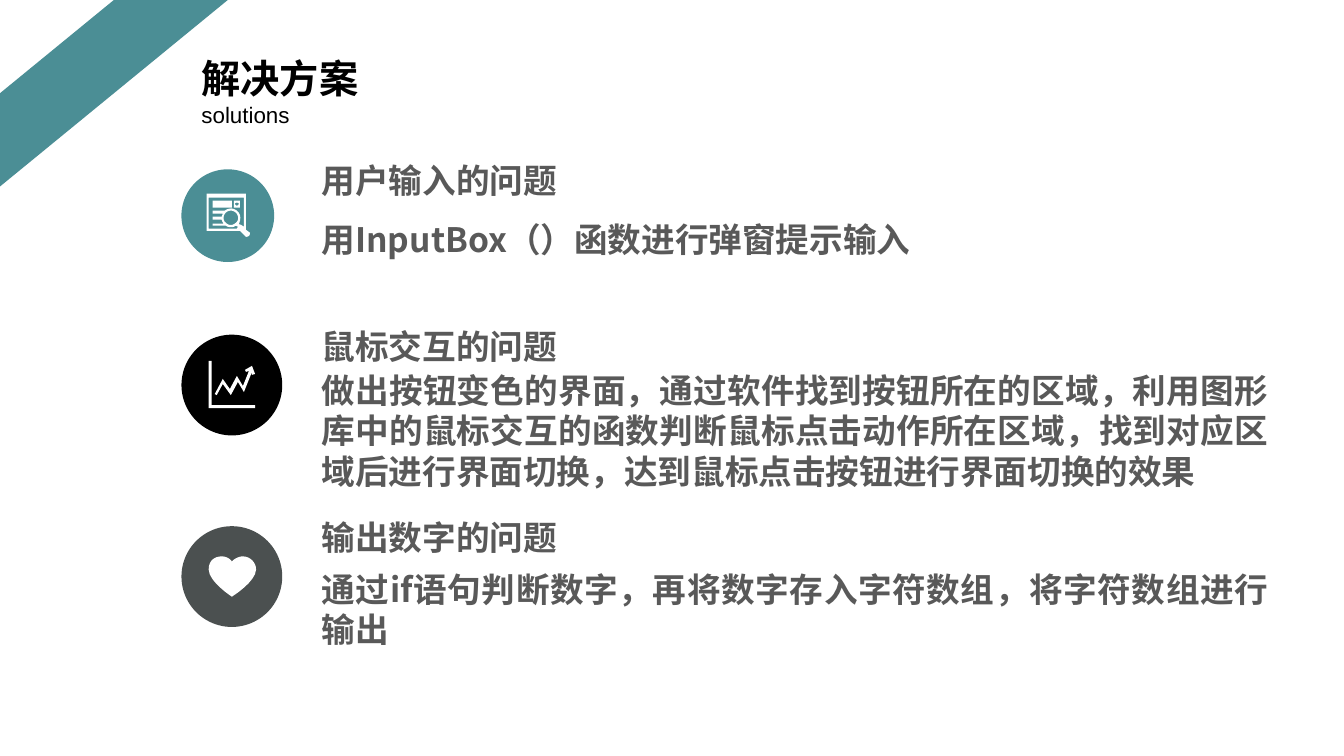
"""Build the solutions slide: three problems, each with an icon and its remedy."""
from lxml import etree
from pptx import Presentation
from pptx.dml.color import RGBColor
from pptx.enum.shapes import MSO_SHAPE
from pptx.enum.text import MSO_ANCHOR, MSO_AUTO_SIZE, PP_ALIGN
from pptx.oxml.ns import qn
from pptx.util import Inches, Pt

STRIPE, CIRCLE = MSO_SHAPE.DIAGONAL_STRIPE, MSO_SHAPE.OVAL
TOP, FIXED = MSO_ANCHOR.TOP, MSO_AUTO_SIZE.NONE
LEFT, JUSTIFY = PP_ALIGN.LEFT, PP_ALIGN.JUSTIFY
TEAL = RGBColor(0x4B, 0x8E, 0x95)
BLACK = RGBColor(0, 0, 0)
SLATE = RGBColor(0x4B, 0x50, 0x50)
GREY = RGBColor(0x59, 0x59, 0x59)
WHITE = RGBColor(0xFF, 0xFF, 0xFF)
LATIN, CHINESE = "Arial", "Noto Sans CJK SC"

TEXT_LEFT, TEXT_WIDTH = 23.2, 71.93
CIRCLE_LEFT = 13.5
CURVE_STEPS = 8
FINENESS = 100

SEARCH_ICON = [
    [(0, 0), (39, 0), (39, 36), (43, 39), (43, 39, 43, 41, 42, 42),
     (41, 43, 39, 43, 39, 43), (33, 37), (0, 37)],
    [(2, 4), (2, 35), (30, 35), (31, 33), (29, 32), (26, 34, 22, 34, 19, 32),
     (6, 32), (6, 30), (17, 30), (16, 29, 15, 27, 15, 26), (6, 26), (6, 23),
     (15, 23), (15, 22, 16, 21, 16, 20), (6, 20), (6, 17), (18, 17),
     (22, 14, 27, 14, 31, 18), (34, 21, 34, 26, 32, 30), (33, 31), (34, 31),
     (37, 33), (37, 4)],
    [(24, 17), (22, 17, 20, 18, 19, 19), (16, 22, 16, 27, 19, 29),
     (22, 32, 26, 32, 29, 29), (32, 27, 32, 22, 29, 19),
     (28, 18, 26, 17, 24, 17)],
    [(6, 7), (25, 7), (25, 14), (6, 14)],
    [(27, 7), (33, 7), (33, 14), (27, 14)],
    [(30, 9), (29, 9, 28, 10, 28, 10), (28, 11, 29, 12, 30, 12),
     (31, 12, 32, 11, 32, 10), (32, 10, 31, 9, 30, 9)],
]
TREND_ICON = [
    [(43, 5), (46, 13), (43, 14), (43, 11), (35, 31), (29, 21), (22, 34),
     (14, 23), (8, 34), (6, 33), (14, 18), (21, 28), (28, 15), (34, 25),
     (40, 10), (37, 11), (36, 9)],
    [(0, 0), (3, 0), (3, 44), (46, 44), (46, 47), (0, 47)],
]
HEART_ICON = [
    [(34, 0), (41, 0, 47, 6, 47, 13), (47, 25, 23, 40, 23, 40),
     (23, 40, 0, 25, 0, 13), (0, 4, 6, 0, 13, 0), (17, 0, 21, 2, 23, 5),
     (26, 2, 30, 0, 34, 0)],
]

PROBLEMS = [
    ("用户输入的问题", 19.47,
     "用InputBox（）函数进行弹窗提示输入", 28.27, 6.67,
     TEAL, 22.4, 6.9, SEARCH_ICON, 15.38, 25.6),
    ("鼠标交互的问题", 41.33,
     "做出按钮变色的界面，通过软件找到按钮所在的区域，利用图形库中的鼠标交互的函数"
     "判断鼠标点击动作所在区域，找到对应区域后进行界面切换，达到鼠标点击按钮进行"
     "界面切换的效果", 48.27, 17.47,
     BLACK, 44.27, 7.5, TREND_ICON, 15.53, 47.73),
    ("输出数字的问题", 66.67,
     "通过if语句判断数字，再将数字存入字符数组，将字符数组进行输出", 74.53, 12.13,
     SLATE, 69.6, 7.5, HEART_ICON, 15.53, 73.6),
]

deck = Presentation()
deck.slide_width, deck.slide_height = Inches(13.33), Inches(7.5)
slide = deck.slides.add_slide(deck.slide_layouts[5])
shapes = slide.shapes


def area(left, top, width, height):
    """Turn percentages of the slide into lengths."""
    across, down = deck.slide_width / 100, deck.slide_height / 100
    return [round(share * side) for share, side in
            zip((left, top, width, height), (across, down, across, down))]


def write(holder, words, size, font, color, bold, align, spacing=1.0, wrap=True):
    """Put one formatted run into a text holder."""
    frame = holder.text_frame
    frame.word_wrap = wrap
    frame.auto_size = FIXED
    frame.vertical_anchor = TOP
    paragraph = frame.paragraphs[0]
    paragraph.alignment = align
    paragraph.line_spacing = spacing
    run = paragraph.add_run()
    run.text = words
    run.font.size = Pt(size)
    run.font.bold = bold
    run.font.color.rgb = color
    run.font.name = font
    east_asian = etree.SubElement(run._r.get_or_add_rPr(), qn("a:ea"))
    east_asian.set("typeface", font)


corner = shapes.add_shape(STRIPE, *area(0, 0, 16.95, 24.67))
corner.shadow.inherit = False
corner.fill.solid()
corner.fill.fore_color.rgb = TEAL
corner.line.fill.background()

title = shapes.title
title.left, title.top, title.width, title.height = area(14.25, 6.53, 13.28, 7.6)
write(title, "解决方案", 28, LATIN, BLACK, True, LEFT, wrap=False)
subtitle = shapes.add_textbox(*area(14.25, 12.67, 41.56, 4.93))
write(subtitle, "solutions", 16, LATIN, BLACK, False, LEFT)

for (problem, problem_top, remedy, remedy_top, remedy_height,
     color, circle_top, diameter, icon, icon_left, icon_top) in PROBLEMS:
    heading = shapes.add_textbox(*area(TEXT_LEFT, problem_top, 26.4, 7.2))
    write(heading, problem, 24, CHINESE, GREY, True, JUSTIFY, 1.2)
    detail = shapes.add_textbox(
        *area(TEXT_LEFT, remedy_top, TEXT_WIDTH, remedy_height))
    write(detail, remedy, 24, CHINESE, GREY, True, JUSTIFY)

    left, top, side, _ = area(CIRCLE_LEFT, circle_top, diameter, 0)
    badge = shapes.add_shape(CIRCLE, left, top, side, side)

    builder = None
    for contour in icon:
        points = [contour[0]]
        for step in contour[1:]:
            if len(step) == 2:
                points.append(step)
                continue
            x0, y0 = points[-1]
            x1, y1, x2, y2, x3, y3 = step
            for index in range(1, CURVE_STEPS + 1):
                t = index / CURVE_STEPS
                u = 1 - t
                a, b, c, d = u**3, 3 * u * u * t, 3 * u * t * t, t**3
                points.append((a * x0 + b * x1 + c * x2 + d * x3,
                               a * y0 + b * y1 + c * y2 + d * y3))
        points = [(round(x * FINENESS), round(y * FINENESS)) for x, y in points]
        if builder is None:
            builder = shapes.build_freeform(
                *points[0], scale=Inches(0.01) / FINENESS)
        else:
            builder.move_to(*points[0])
        builder.add_line_segments(points[1:], close=True)
    symbol = builder.convert_to_shape(*area(icon_left, icon_top, 0, 0)[:2])

    for part, fill in ((badge, color), (symbol, WHITE)):
        part.shadow.inherit = False
        part.fill.solid()
        part.fill.fore_color.rgb = fill
        part.line.fill.background()

deck.save("out.pptx")
